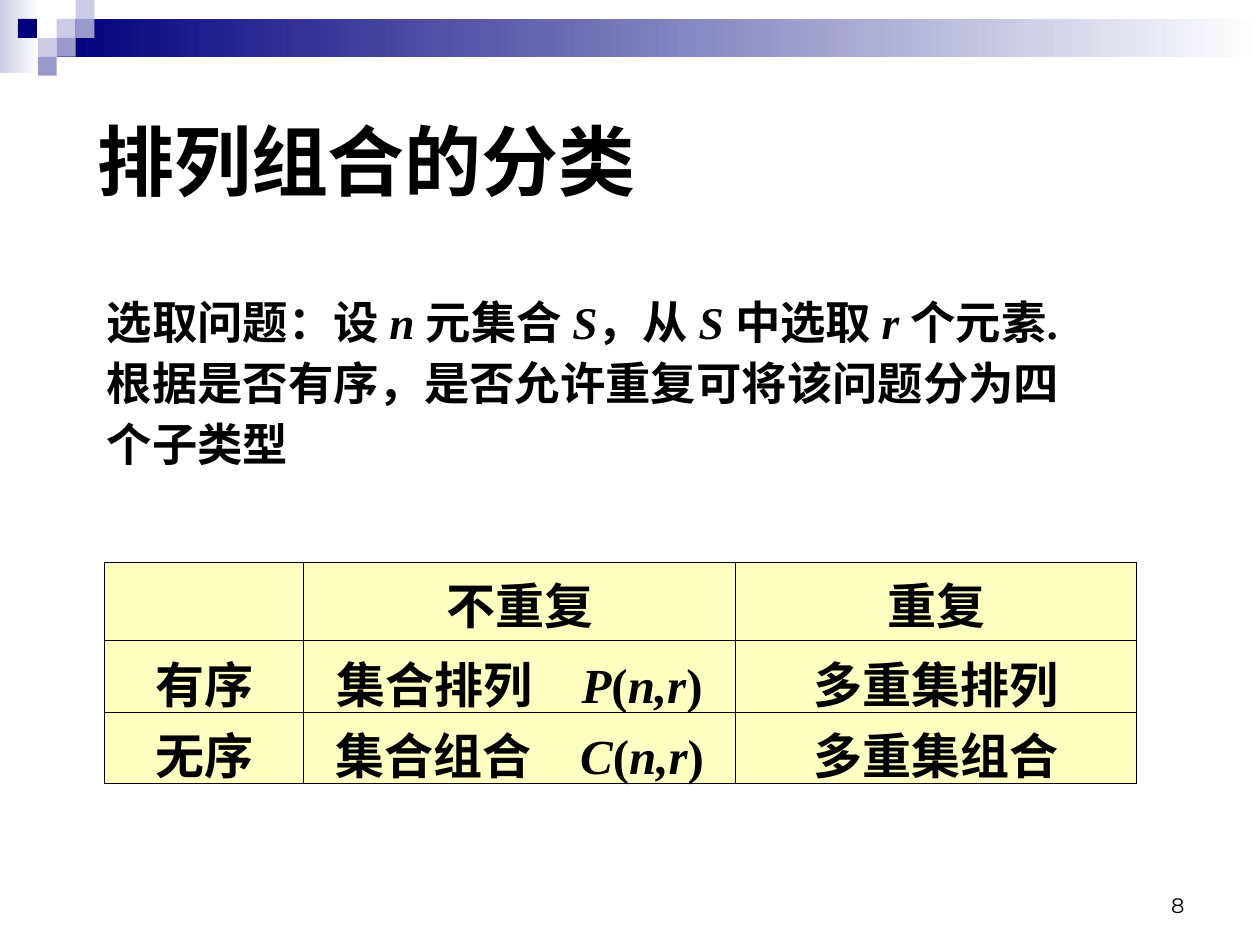
"""Build the slide that sorts selection problems into four types."""
from dataclasses import dataclass
from typing import NamedTuple

from lxml.etree import SubElement
from pptx import Presentation
from pptx.dml.color import RGBColor
from pptx.enum.shapes import MSO_SHAPE as Preset
from pptx.enum.text import MSO_ANCHOR as Anchor, PP_ALIGN as Align
from pptx.oxml.ns import qn
from pptx.util import Inches, Pt


@dataclass(frozen=True)
class Theme:
    ink: str = "000000"
    paper: str = "FFFFFF"
    navy: str = "00007D"
    violet: str = "9999CC"
    lilac: str = "CCCCE6"
    cream: str = "FFFFC1"
    title_font: str = "Arial"
    text_font: str = "Times New Roman"
    number_font: str = "Montserrat"
    title_size: float = 44
    body_size: float = 25.9
    table_size: float = 28
    number_size: float = 12
    rule: float = 0.45


class Box(NamedTuple):
    """A place on the slide, in percent of its width and height."""
    left: float
    top: float
    width: float
    height: float


class Tile(NamedTuple):
    """A mosaic square, by column and row."""
    column: float
    row: float
    color: str


THEME = Theme()
WIDTH, HEIGHT = Inches(10), Inches(7.5)
TILE_WIDTH, TILE_HEIGHT = 1.5, 2

TITLE_BOX = Box(6.7, 6.93, 90, 20)
PROBLEM_BOX = Box(7.5, 31.07, 88.2, 24.13)
NUMBER_BOX = Box(71.7, 91.07, 23.3, 6.67)
COLUMNS = (15.8, 34.3, 31.8)
ROWS = (8.27, 7.6, 7.6)
TABLE_BOX = Box(8.3, 59.47, sum(COLUMNS), sum(ROWS))

GLOW = Box(0, 0, 3.1, 7.73)
BANNER = Box(3 * TILE_WIDTH, TILE_HEIGHT, 100 - 3 * TILE_WIDTH, 2 * TILE_HEIGHT)
MOSAIC = (
    Tile(3, 1, THEME.lilac),
    Tile(4, 0, THEME.lilac),
    Tile(4, 1, THEME.violet),
    Tile(2, 2, THEME.lilac),
    Tile(0.95, 1, THEME.navy),
    Tile(3, 2, THEME.violet),
    Tile(2, 3, THEME.violet),
)

PROBLEM = (
    "选取问题：设 *n *元集合 *S*，从 *S *中选取 *r *个元素.",
    "根据是否有序，是否允许重复可将该问题分为四",
    "个子类型",
)
TYPES = (
    ("", "不重复", "重复"),
    ("有序", "集合排列　*P*(*n,r*)", "多重集排列"),
    ("无序", "集合组合　*C*(*n,r*)", "多重集组合"),
)


def across(percent: float) -> int:
    """Turn a share of the slide's width into a length."""
    return round(WIDTH * percent / 100)


def down(percent: float) -> int:
    """Turn a share of the slide's height into a length."""
    return round(HEIGHT * percent / 100)


def place(box: Box) -> tuple[int, int, int, int]:
    """Turn a box into left, top, width and height."""
    return across(box.left), down(box.top), across(box.width), down(box.height)


def write(frame, *lines: str, font: str, size: float, bold: bool = True,
          align=Align.LEFT, anchor=Anchor.TOP, spacing: float = 1.0,
          gap: float = 0) -> None:
    """Write one paragraph per line, with *marked* parts in italics."""
    frame.word_wrap = True
    frame.vertical_anchor = anchor
    for index, line in enumerate(lines):
        paragraph = frame.add_paragraph() if index else frame.paragraphs[0]
        paragraph.alignment = align
        paragraph.line_spacing = spacing
        paragraph.space_before = Pt(gap if index else 0)
        for part, words in enumerate(line.split("*")):
            if words:
                run = paragraph.add_run()
                run.text = words
                run.font.name, run.font.size = font, Pt(size)
                run.font.bold, run.font.italic = bold, part % 2 == 1
                run.font.color.rgb = RGBColor.from_string(THEME.ink)


def draw_block(slide, box: Box, color: str, fades: bool = False) -> None:
    """Draw a plain rectangle, or one that fades to paper at its right."""
    block = slide.shapes.add_shape(Preset.RECTANGLE, *place(box))
    block.shadow.inherit = False
    block.line.fill.background()
    if fades:
        block.fill.gradient()
        block.fill.gradient_angle = 180
        for stop, position, tint in zip(block.fill.gradient_stops, (0, 1), (THEME.paper, color)):
            stop.position = position
            stop.color.rgb = RGBColor.from_string(tint)
    else:
        block.fill.solid()
        block.fill.fore_color.rgb = RGBColor.from_string(color)


def rule_cell(cell) -> None:
    """Fill a table cell and draw a thin line on each side."""
    properties = cell._tc.get_or_add_tcPr()
    for side in ("a:lnL", "a:lnR", "a:lnT", "a:lnB"):
        edge = SubElement(properties, qn(side), w=str(int(Pt(THEME.rule))))
        SubElement(SubElement(edge, qn("a:solidFill")), qn("a:srgbClr"), val=THEME.ink)
    cell.fill.solid()
    cell.fill.fore_color.rgb = RGBColor.from_string(THEME.cream)


def draw_types(slide) -> None:
    """Draw the table of the four types."""
    table = slide.shapes.add_table(len(ROWS), len(COLUMNS), *place(TABLE_BOX)).table
    table.horz_banding = False
    for column, share in zip(table.columns, COLUMNS):
        column.width = across(share)
    for row, share, labels in zip(table.rows, ROWS, TYPES):
        row.height = down(share)
        for cell, label in zip(row.cells, labels):
            rule_cell(cell)
            write(cell.text_frame, label, font=THEME.text_font,
                  size=THEME.table_size, align=Align.CENTER)


def main() -> None:
    """Build and save the slide."""
    deck = Presentation()
    deck.slide_width, deck.slide_height = WIDTH, HEIGHT
    slide = deck.slides.add_slide(deck.slide_layouts[5])

    draw_block(slide, GLOW, THEME.lilac, fades=True)
    draw_block(slide, BANNER, THEME.navy, fades=True)
    for tile in MOSAIC:
        draw_block(slide, Box(tile.column * TILE_WIDTH, tile.row * TILE_HEIGHT,
                              TILE_WIDTH, TILE_HEIGHT), tile.color)

    title = slide.shapes.title
    title.left, title.top, title.width, title.height = place(TITLE_BOX)
    write(title.text_frame, "排列组合的分类", font=THEME.title_font,
          size=THEME.title_size, anchor=Anchor.MIDDLE)

    problem = slide.shapes.add_textbox(*place(PROBLEM_BOX))
    write(problem.text_frame, *PROBLEM, font=THEME.text_font,
          size=THEME.body_size, spacing=0.9, gap=7)

    draw_types(slide)

    page_number = slide.shapes.add_textbox(*place(NUMBER_BOX))
    write(page_number.text_frame, "8", font=THEME.number_font, size=THEME.number_size,
          bold=False, align=Align.RIGHT, anchor=Anchor.BOTTOM)

    deck.save("out.pptx")


if __name__ == "__main__":
    main()
